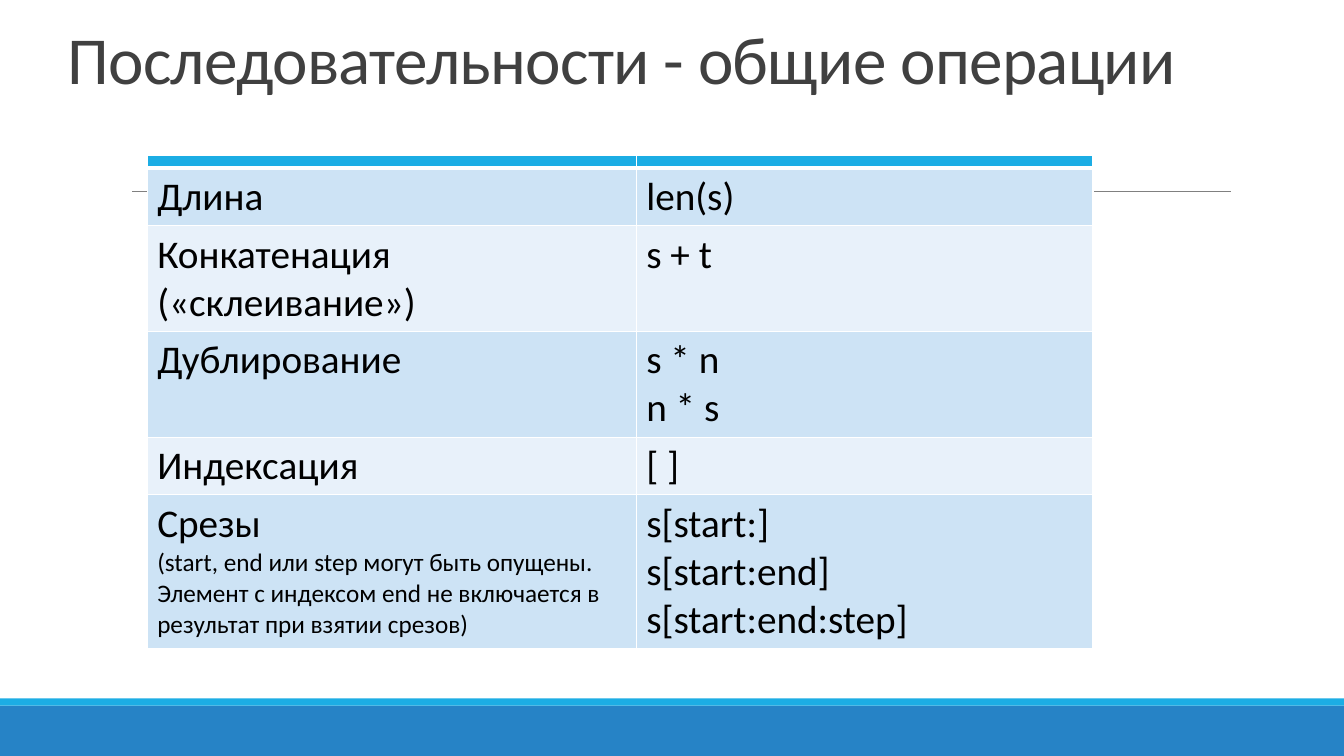
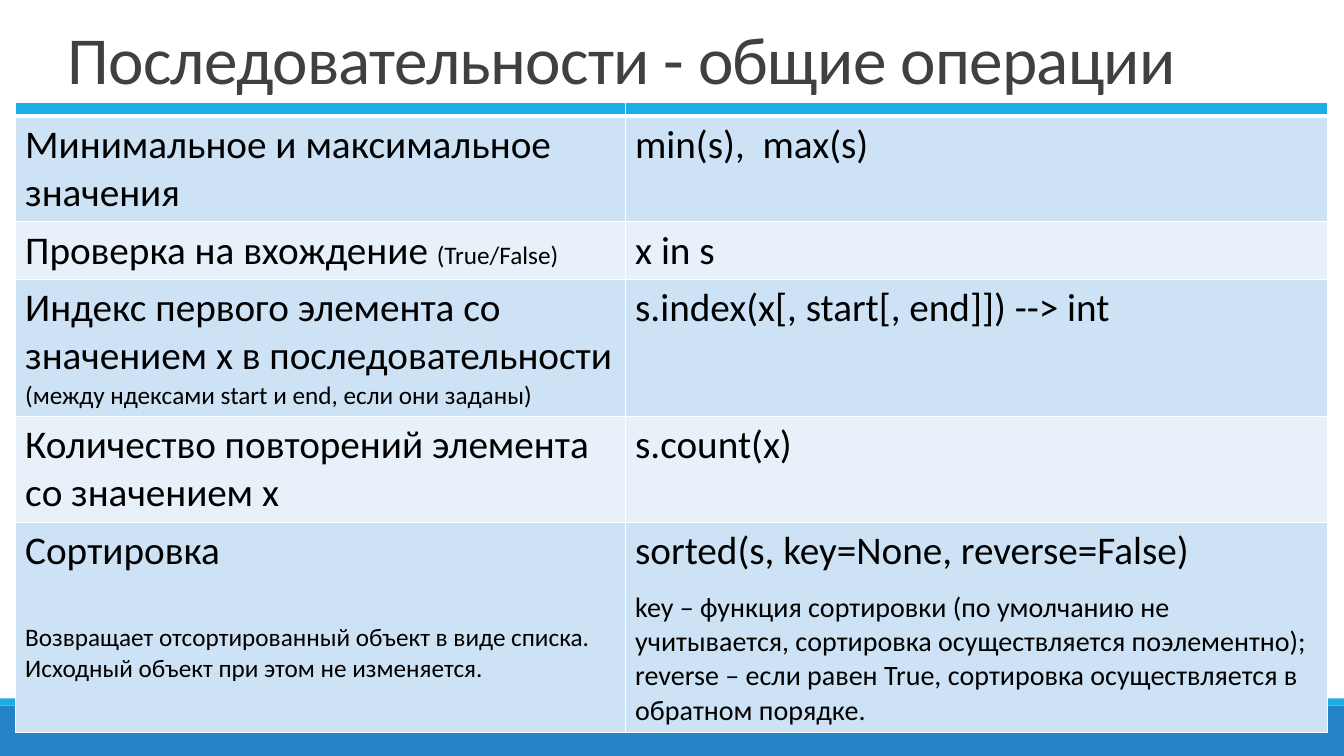
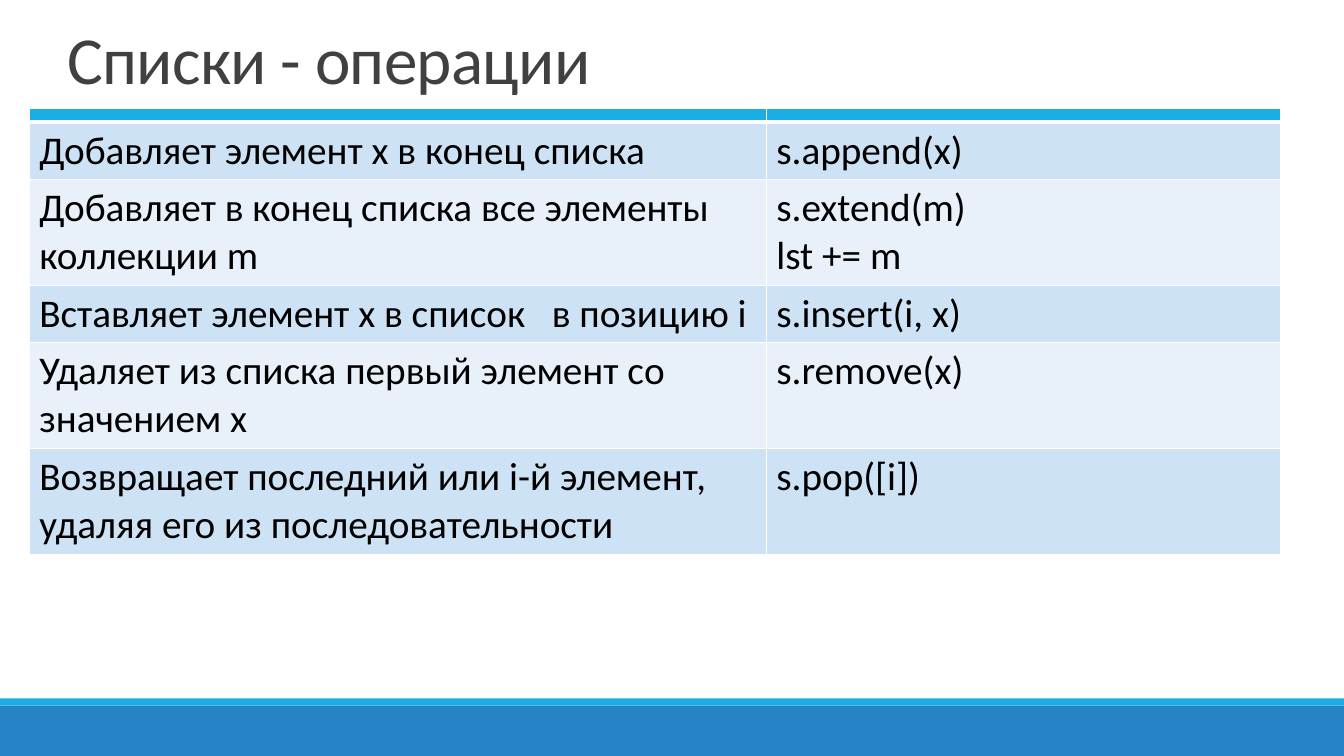
"""Build three slides that list Python sequence and list operations."""
from collections import namedtuple

from lxml.etree import SubElement
from pptx import Presentation
from pptx.dml.color import RGBColor
from pptx.enum.shapes import MSO_CONNECTOR, MSO_SHAPE
from pptx.enum.text import MSO_ANCHOR
from pptx.oxml.ns import qn
from pptx.util import Inches, Pt

BLUE = RGBColor(0x26, 0x83, 0xC6)
CYAN = RGBColor(0x1C, 0xAD, 0xE4)
GRAY = RGBColor(0x80, 0x80, 0x80)
DARK = RGBColor(0x40, 0x40, 0x40)
BLACK = RGBColor(0, 0, 0)
TINTS = RGBColor(0xCD, 0xE3, 0xF5), RGBColor(0xE8, 0xF1, 0xFA)

WIDE, HIGH = 13.33, 7.5
BANDS = [(7, 0.5, BLUE), (6.93, 0.07, CYAN)]
RULE = 1.31, 12.21, 1.9
HEAD = 0.13
TITLE = {"name": "Calibri", "size": Pt(48)}
BODY = {"name": "Calibri", "size": Pt(28)}

Run = namedtuple("Run", "text size gap join", defaults=(18, 0, False))

DECK = [
    {
        "title": "Последовательности - общие операции",
        "at": (1.46, 1.54),
        "cols": (4.85, 4.53),
        "rows": [
            (0.57, ["Длина"], ["len(s)"]),
            (1.05, ["Конкатенация («склеивание»)"], ["s + t"]),
            (1.05, ["Дублирование"], ["s * n", "n * s"]),
            (0.57, ["Индексация"], ["[ ]"]),
            (1.53,
             ["Срезы",
              Run("(start, end или step могут быть опущены."),
              Run("Элемент с индексом end не включается в результат при взятии срезов)")],
             ["s[start:]", "s[start:end]", "s[start:end:step]"]),
        ],
    },
    {
        "title": "Последовательности - общие операции",
        "at": (0.15, 1.02),
        "cols": (6.05, 6.97),
        "rows": [
            (1.05, ["Минимальное и максимальное значения"], ["min(s),  max(s)"]),
            (0.57, ["Проверка на вхождение ", Run("(True/False)", join=True)], ["x in s"]),
            (1.36,
             ["Индекс первого элемента со значением x в последовательности ",
              Run("(между ндексами start и end, если они заданы)", join=True)],
             ["s.index(x[, start[, end]]) --> int"]),
            (1.05, ["Количество повторений элемента со значением х"], ["s.count(x)"]),
            (2.09,
             ["Сортировка",
              Run("Возвращает отсортированный объект в виде списка. "
                  "Исходный объект при этом не изменяется.", gap=34)],
             ["sorted(s, key=None, reverse=False)",
              Run("key – функция сортировки (по умолчанию не учитывается, "
                  "сортировка осуществляется поэлементно);", 20, 11),
              Run("reverse – если равен True, сортировка осуществляется "
                  "в обратном порядке.", 20)]),
        ],
    },
    {
        "title": "Списки - операции",
        "at": (0.29, 1.08),
        "cols": (7.31, 5.1),
        "rows": [
            (0.57, ["Добавляет элемент x в конец списка"], ["s.append(x)"]),
            (1.05, ["Добавляет в конец списка все элементы коллекции m"],
             ["s.extend(m)", "lst += m"]),
            (0.57, ["Вставляет элемент х в список   в позицию i"], ["s.insert(i, x)"]),
            (1.05, ["Удаляет из списка первый элемент со значением x"], ["s.remove(x)"]),
            (1.05, ["Возвращает последний или i-й элемент, удаляя его из последовательности"],
             ["s.pop([i])"]),
        ],
    },
]


def style(font, look, color):
    for key, val in look.items():
        setattr(font, key, val)
    font.color.rgb = color


def frame(slide, title):
    for top, high, color in BANDS:
        band = slide.shapes.add_shape(
            MSO_SHAPE.RECTANGLE, 0, Inches(top), Inches(WIDE), Inches(high))
        band.shadow.inherit = False
        band.fill.solid()
        band.fill.fore_color.rgb = color
        band.line.fill.background()
    left, right, top = map(Inches, RULE)
    rule = slide.shapes.add_connector(MSO_CONNECTOR.STRAIGHT, left, top, right, top)
    rule.line.color.rgb = GRAY
    rule.line.width = Pt(0.5)
    SubElement(rule._element.spPr, qn("a:effectLst"))
    box = slide.shapes.add_textbox(*map(Inches, (0.57, 0.15, 11.45, 0.87))).text_frame
    box.word_wrap = True
    box.vertical_anchor = MSO_ANCHOR.BOTTOM
    para = box.paragraphs[0]
    para.line_spacing = 0.85
    run = para.add_run()
    run.text = title
    style(run.font, TITLE, DARK)
    run.font._element.set("spc", "-50")


def paint(cell, color, top, base):
    props = cell._tc.get_or_add_tcPr()
    for side, size in zip("LRTB", (1, 1, top, base)):
        edge = SubElement(props, qn(f"a:ln{side}"), w=str(Pt(size)))
        fill = SubElement(edge, qn("a:solidFill"))
        SubElement(fill, qn("a:srgbClr"), val="FFFFFF")
    cell.fill.solid()
    cell.fill.fore_color.rgb = color


def write(cell, parts):
    text = cell.text_frame
    para = text.paragraphs[0]
    for num, part in enumerate(parts):
        item = Run(part, 28) if isinstance(part, str) else part
        if num and not item.join:
            para = text.add_paragraph()
        if item.gap:
            para.space_before = Pt(item.gap)
        run = para.add_run()
        run.text = item.text
        style(run.font, {**BODY, "size": Pt(item.size)}, BLACK)


def grid(slide, at, cols, rows):
    highs = [HEAD] + [row[0] for row in rows]
    area = *at, sum(cols), sum(highs)
    table = slide.shapes.add_table(len(highs), len(cols), *map(Inches, area)).table
    table.first_row = table.horz_banding = False
    for col, wide in zip(table.columns, cols):
        col.width = Inches(wide)
    for row, high in zip(table.rows, highs):
        row.height = Inches(high)
    for cell in table.rows[0].cells:
        paint(cell, CYAN, 1, 3)
        cell.text_frame.paragraphs[0]._p.get_or_add_endParaRPr().set("sz", "100")
    for num, (_, *texts) in enumerate(rows):
        for cell, parts in zip(table.rows[num + 1].cells, texts):
            paint(cell, TINTS[num % 2], 1 if num else 3, 1)
            write(cell, parts)


def main():
    deck = Presentation()
    deck.slide_width, deck.slide_height = Inches(WIDE), Inches(HIGH)
    for page in DECK:
        slide = deck.slides.add_slide(deck.slide_layouts[6])
        frame(slide, page["title"])
        grid(slide, page["at"], page["cols"], page["rows"])
    deck.save("out.pptx")


if __name__ == "__main__":
    main()
